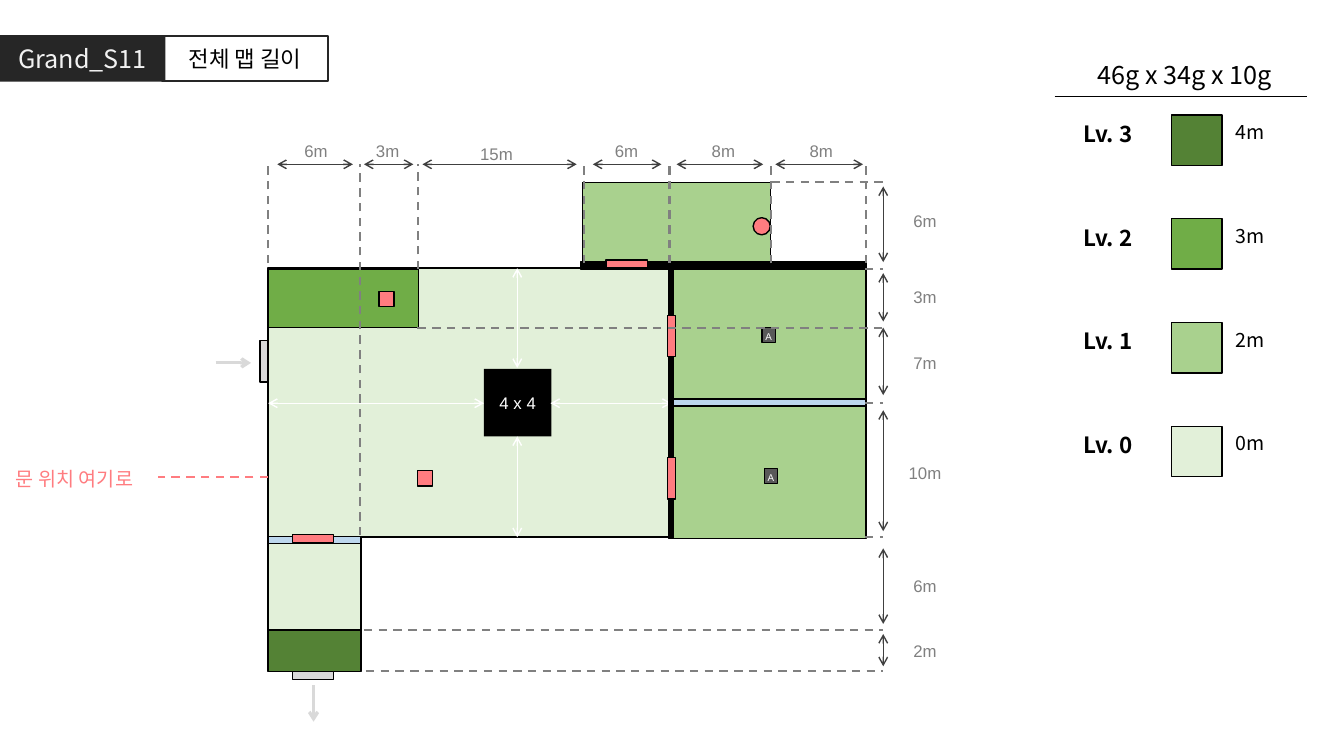
from dataclasses import dataclass
from lxml.etree import SubElement
from pptx import Presentation
from pptx.dml.color import RGBColor
from pptx.enum.dml import MSO_LINE
from pptx.enum.shapes import MSO_CONNECTOR, MSO_SHAPE
from pptx.enum.text import MSO_ANCHOR, PP_ALIGN
from pptx.oxml.ns import qn
from pptx.util import Inches, Pt


@dataclass
class Theme:
    """Colours, fonts and type sizes of the slide."""
    black: str = "000000"
    white: str = "FFFFFF"
    dark: str = "262626"
    pale: str = "F2F2F2"
    span: str = "404040"
    crate: str = "595959"
    guide: str = "808080"
    gate: str = "D9D9D9"
    door: str = "FF7C80"
    glass: str = "BDD7EE"
    levels: tuple = ("E2F0D9", "A9D18E", "70AD47", "548235")
    sans: str = "Arial"
    noto: str = "Noto Sans CJK KR"
    head: int = 18
    label: int = 16
    body: int = 14
    small: int = 12
    tiny: int = 7


theme = Theme()
LEFT, CENTER = PP_ALIGN.LEFT, PP_ALIGN.CENTER
deck = Presentation()
deck.slide_width, deck.slide_height = Inches(13.33), Inches(7.5)
slide = deck.slides.add_slide(deck.slide_layouts[5])
shapes = slide.shapes


def draw(area, fill=None, edge=theme.black, text="", size=theme.small, tint=theme.black,
         face=theme.sans, bold=False, align=CENTER, form=MSO_SHAPE.RECTANGLE, width=1):
    """Draw a shape, the title (form "title") or a text box (form None)."""
    place = [Inches(n) for n in area]
    if form is None:
        item = shapes.add_textbox(*place)
    elif form == "title":
        item = shapes.title
        item.left, item.top, item.width, item.height = place
    else:
        item = shapes.add_shape(form, *place)
    if form is not None:
        item.shadow.inherit = False
        if fill:
            item.fill.solid()
            item.fill.fore_color.rgb = RGBColor.from_string(fill)
        else:
            item.fill.background()
        if edge:
            item.line.color.rgb = RGBColor.from_string(edge)
            item.line.width = Pt(width)
        else:
            item.line.fill.background()
    if text:
        frame = item.text_frame
        frame.text = text
        frame.word_wrap = True
        frame.vertical_anchor = MSO_ANCHOR.TOP if form is None else MSO_ANCHOR.MIDDLE
        frame.paragraphs[0].alignment = align
        run = frame.paragraphs[0].runs[0]
        run.font.name, run.font.size, run.font.bold = face, Pt(size), bold
        run.font.color.rgb = RGBColor.from_string(tint)
        SubElement(run.font._element, qn("a:ea"), typeface=theme.noto)
    return item


def link(start, end, tint, width=1.0, dash=False, tips=()):
    """Draw a straight line with optional dashes and arrow tips."""
    line = shapes.add_connector(MSO_CONNECTOR.STRAIGHT, *[Inches(n) for n in start + end])
    line.line.color.rgb = RGBColor.from_string(tint)
    line.line.width = Pt(width)
    if dash:
        line.line.dash_style = MSO_LINE.DASH
    props = line.element.spPr
    for tip in tips:
        SubElement(props.find(qn("a:ln")), qn("a:" + tip), type="arrow")
    SubElement(props, qn("a:effectLst"))


both = ("headEnd", "tailEnd")
ground, low, mid, high = theme.levels

# Heading
draw((1.61, 0.36, 1.64, 0.44), None, theme.dark, "전체 맵 길이", theme.label, form="title", width=1.5)
draw((0, 0.35, 1.64, 0.46), theme.dark, None, "Grand_S11", theme.head, theme.pale, theme.noto)

# Legend
draw((10.65, 0.54, 2.2, 0.4), text="46g x 34g x 10g", size=theme.head, face=theme.noto, form=None)
link((10.46, 0.96), (12.96, 0.96), theme.black)
for level, (fill, rise) in enumerate(zip(theme.levels, ("0m", "2m", "3m", "4m"))):
    top = 4.23 - level * 1.03
    draw((11.62, top, 0.5, 0.5), fill)
    draw((12.16, top, 0.71, 0.33), text=rise, size=theme.body, face=theme.noto, align=LEFT, form=None)
    draw((10.65, top, 1.07, 0.36), text=f"Lv. {level}", size=theme.label, face=theme.noto,
         bold=True, align=LEFT, form=None)

# Floors
for area, fill in (
    ((5.78, 1.81, 1.86, 0.85), low),
    ((2.66, 2.66, 4, 2.67), ground),
    ((6.66, 2.66, 1.93, 1.34), low),
    ((6.66, 4, 1.93, 1.34), low),
    ((2.66, 2.67, 1.49, 0.58), mid),
    ((2.66, 5.33, 0.92, 0.92), ground),
    ((2.66, 6.25, 0.92, 0.41), high),
):
    draw(area, fill)

# Centre block and its clearances
draw((4.8, 3.66, 0.67, 0.67), theme.black, None, "4 x 4", tint=theme.white)
for start, end in (
    ((5.13, 2.66), (5.13, 3.65)), ((5.13, 4.33), (5.13, 5.33)),
    ((2.66, 4), (4.8, 4)), ((5.46, 4), (6.66, 4)),
):
    link(start, end, theme.white, tips=both)

# Walls, windows, gates and doors
for area, fill in (
    ((5.76, 2.6, 2.83, 0.07), theme.black),
    ((6.66, 3.96, 1.93, 0.07), theme.glass),
    ((2.66, 5.32, 0.92, 0.07), theme.glass),
    ((6.63, 2.67, 0.05, 2.67), theme.black),
    ((2.58, 3.38, 0.08, 0.41), theme.gate),
    ((2.9, 6.66, 0.41, 0.08), theme.gate),
    ((6.01, 2.58, 0.41, 0.08), theme.door),
    ((2.9, 5.3, 0.41, 0.08), theme.door),
    ((6.62, 3.13, 0.08, 0.41), theme.door),
    ((6.62, 4.54, 0.08, 0.41), theme.door),
    ((4.14, 4.67, 0.15, 0.15), theme.door),
    ((3.76, 2.89, 0.15, 0.15), theme.door),
):
    draw(area, fill)
draw((7.47, 2.16, 0.17, 0.17), theme.door, form=MSO_SHAPE.OVAL)
for left, top in ((7.56, 3.25), (7.58, 4.65)):
    crate = draw((left, top, 0.13, 0.15), theme.crate, text="A", size=theme.tiny, tint=theme.white)
    frame = crate.text_frame
    frame.margin_left = frame.margin_right = frame.margin_top = frame.margin_bottom = 0
    frame.vertical_anchor = MSO_ANCHOR.BOTTOM
for start, end in (((2.14, 3.6), (2.49, 3.6)), ((3.11, 6.8), (3.11, 7.16))):
    link(start, end, theme.gate, 2.25, tips=("tailEnd",))

# Guides: down from the top scale, then across to the side scale
row, side = 1.63, 8.76
for x, foot in ((2.66, 2.61), (3.57, 5.31), (4.15, 2.67), (5.79, 2.61),
                (6.64, 2.61), (7.65, 2.61), (8.59, 2.61)):
    link((x, foot), (x, row), theme.guide, 1.5, True)
for x, y in ((7.65, 1.81), (8.58, 2.67), (4.14, 3.25), (8.58, 4),
             (8.58, 5.33), (3.61, 6.25), (3.63, 6.66)):
    link((x, y), (side, y), theme.guide, 1.5, True)

# Spans: start, end, length, label corner
across = (
    (2.75, 3.5, "6m", 2.77, 1.35), (3.61, 4.1, "3m", 3.48, 1.35),
    (4.19, 5.72, "15m", 4.56, 1.38), (5.88, 6.56, "6m", 5.85, 1.35),
    (6.71, 7.57, "8m", 6.81, 1.35), (7.69, 8.56, "8m", 7.78, 1.35),
)
down = (
    (1.85, 2.6, "6m", 8.81, 2.04), (2.71, 3.19, "3m", 8.81, 2.8),
    (3.25, 3.92, "7m", 8.81, 3.45), (4.07, 5.27, "10m", 8.81, 4.54),
    (5.44, 6.19, "6m", 8.81, 5.66), (6.29, 6.61, "2m", 8.81, 6.31),
)
for start, end, *_ in across:
    link((start, row), (end, row), theme.span, tips=both)
for start, end, *_ in down:
    link((side, start), (side, end), theme.span, tips=both)
for _, _, text, left, top in across + down:
    draw((left, top, 0.73, 0.3), text=text, tint=theme.guide, form=None)

# Door note
note = draw((0.06, 4.58, 1.49, 0.34), text="문 위치 여기로", size=theme.body, tint=theme.door,
            align=LEFT, form=None)
note.text_frame.word_wrap = False
link((2.66, 4.73), (1.57, 4.73), theme.door, 1.5, True)

deck.save("out.pptx")
